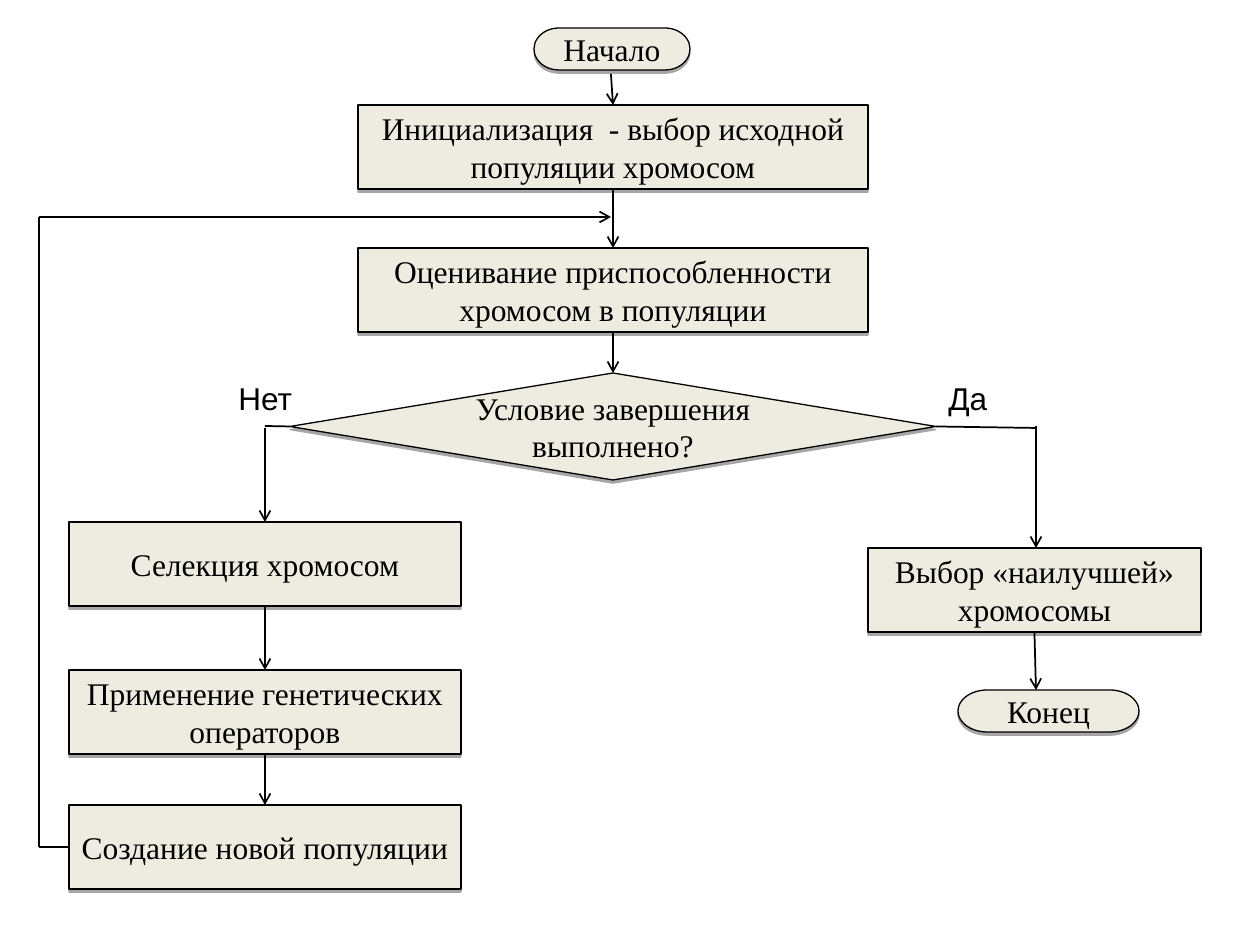
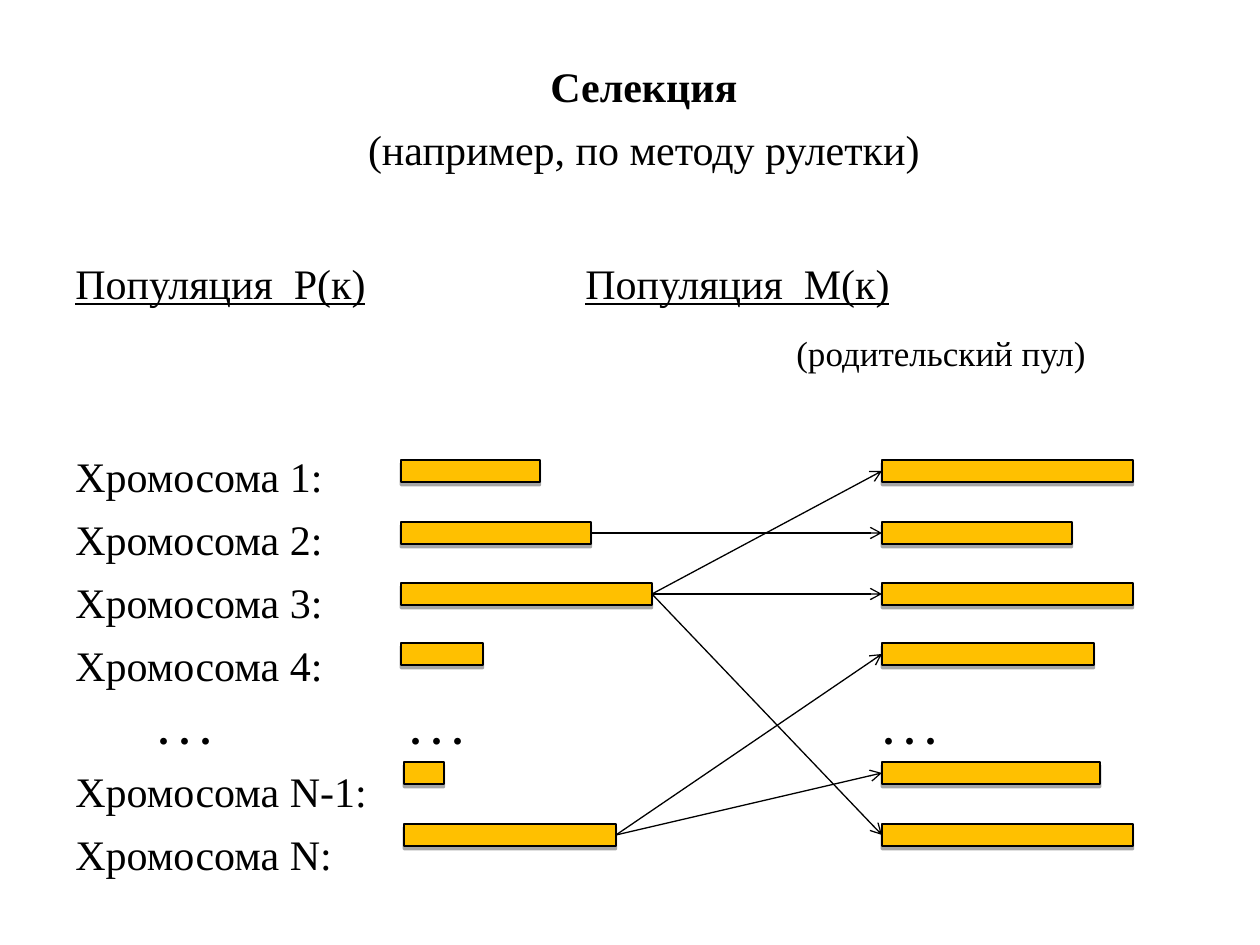
"""Build two slides on a genetic algorithm: its flowchart and roulette selection."""
from lxml import etree
from pptx import Presentation
from pptx.dml.color import RGBColor
from pptx.enum.shapes import MSO_CONNECTOR, MSO_SHAPE
from pptx.enum.text import PP_ALIGN
from pptx.oxml.ns import qn
from pptx.util import Pt

PX = 914400 // 126
STRAIGHT = MSO_CONNECTOR.STRAIGHT
TERMINATOR = MSO_SHAPE.FLOWCHART_TERMINATOR
PROCESS = MSO_SHAPE.FLOWCHART_PROCESS
DECISION = MSO_SHAPE.FLOWCHART_DECISION
BAR = MSO_SHAPE.RECTANGLE
CENTER, LEFT = PP_ALIGN.CENTER, PP_ALIGN.LEFT
TOP_SIDE, LEFT_SIDE, BOTTOM_SIDE, RIGHT_SIDE = range(4)

color = RGBColor.from_string
BLACK, CREAM, AMBER = "000000", "EEECE1", "FFC000"
STEP_FONT = {"name": "Times New Roman", "size": Pt(18)}
ANSWER_FONT = {"name": "Arial", "size": Pt(18)}
BODY_FONT = {"name": "Times New Roman", "size": Pt(24)}


def add_block(slide, kind, box, fill, outline):
    """Add a filled, outlined shape with a short shadow below it."""
    block = slide.shapes.add_shape(kind, *(PX * value for value in box))
    block.fill.solid()
    block.fill.fore_color.rgb = color(fill)
    block.line.color.rgb = color(BLACK)
    block.line.width = Pt(outline)
    block.shadow.inherit = False
    effects = block._element.spPr.find(qn("a:effectLst"))
    shadow = etree.SubElement(effects, qn("a:outerShdw"), dist=str(Pt(1.8)),
                              dir="5400000", rotWithShape="0")
    shade = etree.SubElement(shadow, qn("a:srgbClr"), val=BLACK)
    etree.SubElement(shade, qn("a:alpha"), val="35000")
    return block


def add_link(slide, start, end, width, arrow=True):
    """Draw a line between ends given as (x, y) or (block, side)."""
    points = [end_ if isinstance(end_[0], int) else (0, 0) for end_ in (start, end)]
    link = slide.shapes.add_connector(
        STRAIGHT, *(PX * value for point in points for value in point))
    for end_, connect in ((start, link.begin_connect), (end, link.end_connect)):
        if not isinstance(end_[0], int):
            connect(*end_)
    link.line.color.rgb = color(BLACK)
    link.line.width = Pt(width)
    properties = link._element.spPr
    if arrow:
        etree.SubElement(properties.find(qn("a:ln")), qn("a:tailEnd"), type="arrow")
    etree.SubElement(properties, qn("a:effectLst"))


deck = Presentation()
deck.slide_width, deck.slide_height = PX * 1260, PX * 945
blank = deck.slide_layouts[6]

flowchart = deck.slides.add_slide(blank)
steps = {}
for step, kind, box, wording in (
    ("start", TERMINATOR, (534, 28, 156, 42), "Начало"),
    ("condition", DECISION, (290, 373, 646, 107), "Условие завершения выполнено?"),
    ("finish", TERMINATOR, (958, 690, 181, 42), "Конец"),
    ("initial", PROCESS, (358, 105, 510, 84),
     "Инициализация  - выбор исходной популяции хромосом"),
    ("fitness", PROCESS, (358, 248, 510, 84),
     "Оценивание приспособленности хромосом в популяции"),
    ("selection", PROCESS, (69, 522, 392, 84), "Селекция хромосом"),
    ("operators", PROCESS, (69, 670, 392, 84), "Применение генетических операторов"),
    ("renewal", PROCESS, (69, 805, 392, 84), "Создание новой популяции"),
    ("best", PROCESS, (868, 548, 333, 84), "Выбор «наилучшей» хромосомы"),
):
    steps[step] = add_block(flowchart, kind, box, CREAM, 0.75)
    paragraph = steps[step].text_frame.paragraphs[0]
    paragraph.alignment = CENTER
    run = paragraph.add_run()
    run.text = wording
    run.font.color.rgb = color(BLACK)
    for name, value in STEP_FONT.items():
        setattr(run.font, name, value)

for upper, lower in (("initial", "fitness"), ("fitness", "condition"),
                     ("selection", "operators"), ("operators", "renewal")):
    add_link(flowchart, (steps[upper], BOTTOM_SIDE), (steps[lower], TOP_SIDE), 1)

for start, end, arrow in (
    ((611, 74), (steps["initial"], TOP_SIDE), True),
    ((steps["renewal"], LEFT_SIDE), (39, 847), False),
    ((39, 847), (39, 217), False),
    ((39, 217), (611, 217), True),
    ((steps["condition"], RIGHT_SIDE), (1036, 428), False),
    ((1036, 426), (1036, 548), True),
    ((steps["best"], BOTTOM_SIDE), (1036, 690), True),
    ((steps["condition"], LEFT_SIDE), (265, 426), False),
    ((265, 428), (steps["selection"], TOP_SIDE), True),
):
    add_link(flowchart, start, end, 1, arrow)

for answer, left, width in (("Да", 936, 64), ("Нет", 226, 79)):
    label = flowchart.shapes.add_textbox(PX * left, PX * 373, PX * width, PX * 50)
    label.text_frame.word_wrap = False
    run = label.text_frame.paragraphs[0].add_run()
    run.text = answer
    run.font.color.rgb = color(BLACK)
    for name, value in ANSWER_FONT.items():
        setattr(run.font, name, value)

roulette = deck.slides.add_slide(blank)
body = roulette.shapes.add_textbox(PX * 63, PX * 54, PX * 1162, PX * 825).text_frame
body.word_wrap = True
GAP = 7.25
UNDERLINED, BOLD, SMALL = {"underline": True}, {"bold": True}, {"size": Pt(20)}
lines = [
    (CENTER, 0, (), [("Селекция", BOLD)]),
    (CENTER, GAP, (), [("(например, по методу рулетки)", {})]),
    (LEFT, 47.8, (510,), [("Популяция  Р(к)", UNDERLINED), ("\t", {}),
                          ("Популяция  М(к)", UNDERLINED)]),
    (LEFT, 13.5, (721,), [("\t(родительский пул)", SMALL)]),
    (LEFT, 43.8, (), [("Хромосома 1:", {})]),
    *((LEFT, GAP, (), [(f"Хромосома {number}:", {})]) for number in (2, 3, 4)),
    (LEFT, GAP, (83, 335, 808), [("\t. . .\t. . .\t. . .", BOLD)]),
    *((LEFT, GAP, (), [(f"Хромосома {number}:", {})]) for number in ("N-1", "N")),
]
for index, (alignment, gap, stops, pieces) in enumerate(lines):
    paragraph = body.add_paragraph() if index else body.paragraphs[0]
    paragraph.alignment = alignment
    paragraph.space_before = Pt(gap)
    if stops:
        tabs = etree.SubElement(paragraph._p.get_or_add_pPr(), qn("a:tabLst"))
        for stop in stops:
            etree.SubElement(tabs, qn("a:tab"), pos=str(PX * stop), algn="l")
    for wording, emphasis in pieces:
        run = paragraph.add_run()
        run.text = wording
        run.font.color.rgb = color(BLACK)
        for name, value in {**BODY_FONT, **emphasis}.items():
            setattr(run.font, name, value)

population, parents = [], []
for top, left, width, parent_width in (
    (460, 401, 139, 251), (522, 401, 190, 190), (583, 401, 251, 251),
    (643, 401, 82, 212), (762, 404, 40, 218), (824, 404, 212, 251),
):
    population.append(add_block(roulette, BAR, (left, top, width, 22), AMBER, 1.5))
    parents.append(add_block(roulette, BAR, (882, top, parent_width, 22), AMBER, 1.5))

for chosen, copy_row in ((1, 1), (2, 0), (2, 2), (2, 5), (5, 4), (5, 3)):
    add_link(roulette, (population[chosen], RIGHT_SIDE),
             (parents[copy_row], LEFT_SIDE), 0.75)

deck.save("out.pptx")
